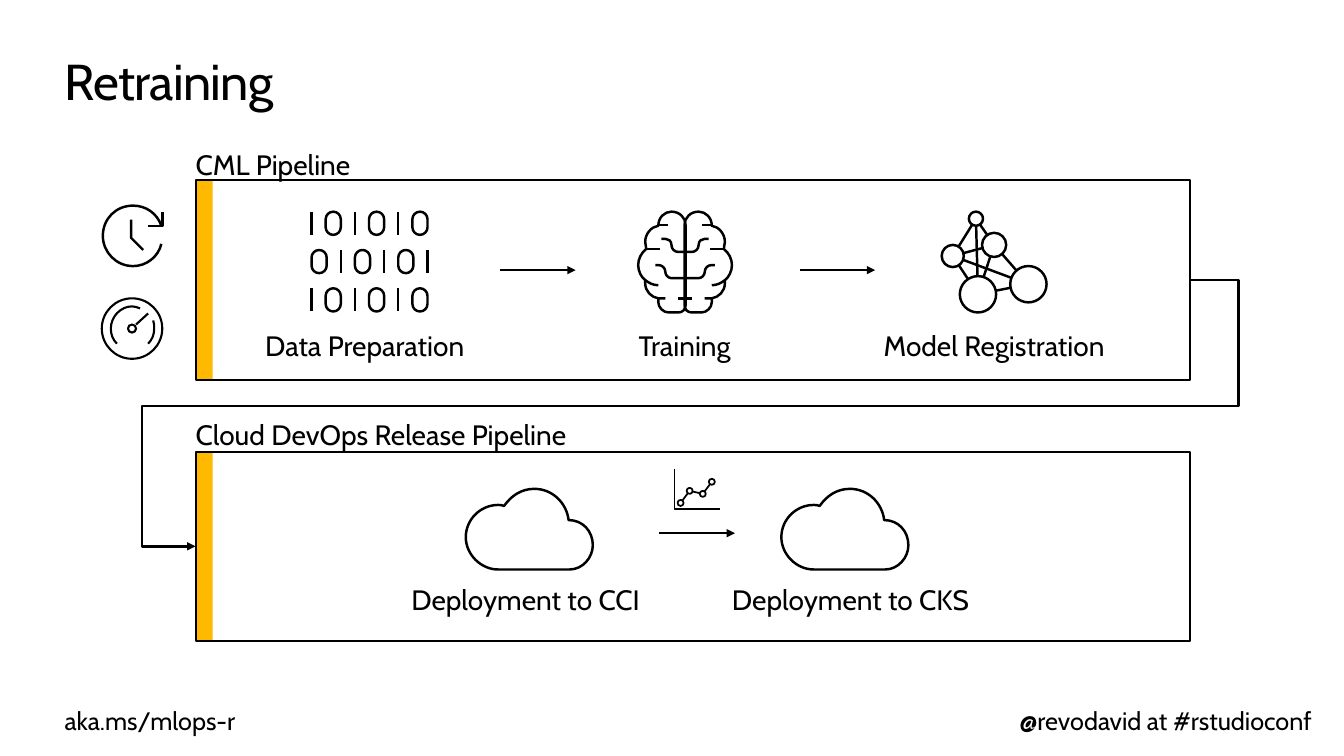
"""Build the Retraining slide: two pipelines joined by a bent arrow."""
from dataclasses import dataclass
from itertools import combinations, pairwise
from math import hypot

from lxml.etree import SubElement
from pptx import Presentation
from pptx.dml.color import RGBColor
from pptx.enum.shapes import MSO_CONNECTOR, MSO_SHAPE
from pptx.enum.text import MSO_ANCHOR, MSO_AUTO_SIZE, PP_ALIGN
from pptx.oxml.ns import qn
from pptx.util import Inches, Pt


@dataclass(frozen=True)
class Theme:
    """Hold the colours, font and sizes."""
    ink: RGBColor = RGBColor(0, 0, 0)
    gold: RGBColor = RGBColor(0xFF, 0xB9, 0)
    font: str = "Cabin"
    title: int = 36
    label: int = 20
    foot: int = 18
    thin: float = 1.25
    line: float = 1.5
    bold: float = 1.75


THEME = Theme()
LEFT, CENTER, RIGHT = PP_ALIGN.LEFT, PP_ALIGN.CENTER, PP_ALIGN.RIGHT

TITLE = ("Retraining", 0.64, 0.5, 12.05, 0.61)
FOOTS = [
    ("aka.ms/mlops-r", 0.64, 7, 4.55, LEFT),
    ("@revodavid at #rstudioconf", 8.46, 7, 4.55, RIGHT),
]
LABELS = [
    ("CML Pipeline", 1.94, 1.46, 1.62, LEFT),
    ("Data Preparation", 2.63, 3.26, 2.08, LEFT),
    ("Training", 6.3, 3.26, 0.98, CENTER),
    ("Model Registration", 8.68, 3.26, 2.36, CENTER),
    ("Cloud DevOps Release Pipeline", 1.94, 4.14, 3.83, LEFT),
    ("Deployment to CCI", 4.08, 5.78, 2.36, LEFT),
    ("Deployment to CKS", 7.26, 5.78, 2.42, LEFT),
]
PANELS = [(1.79, 1.98), (4.48, 1.88)]
PANEL_X, PANEL_W, BAR_W = 1.94, 9.86, 0.17
ARROWS = [(4.96, 2.68), (7.93, 2.68), (6.54, 5.29)]
ARROW_W = 0.75
BENDS = (-4900, 47300, 105400)

BITS = ["101010", "010101", "101010"]
BIT_X, BIT_Y, BIT_W, BIT_H, BIT_GAP, ROW_GAP = 3.09, 2.1, 0.15, 0.23, 0.14, 0.38
BRAIN = """
M 6.53 2.96 C 6.46 2.95 6.4 2.89 6.4 2.81 L 6.4 2.78
C 6.36 2.75 6.33 2.69 6.33 2.63 C 6.33 2.57 6.36 2.51 6.41 2.47
C 6.41 2.45 6.4 2.42 6.4 2.4 C 6.4 2.32 6.46 2.25 6.53 2.24
C 6.53 2.16 6.59 2.1 6.66 2.1 C 6.74 2.1 6.8 2.16 6.8 2.23
L 6.8 3.03 C 6.8 3.07 6.77 3.1 6.73 3.1 L 6.63 3.1
C 6.58 3.1 6.53 3.05 6.53 3 L 6.53 2.96 L 6.6 2.96
M 6.73 2.96 L 6.8 2.96
M 6.5 2.63 L 6.53 2.63 C 6.57 2.63 6.6 2.66 6.6 2.7
C 6.6 2.73 6.63 2.76 6.66 2.76 L 6.8 2.76
M 6.56 2.37 L 6.6 2.37 C 6.63 2.37 6.66 2.39 6.66 2.43
C 6.66 2.47 6.69 2.5 6.73 2.5 L 6.8 2.5
M 6.4 2.78 C 6.44 2.81 6.48 2.83 6.53 2.83
M 6.41 2.47 L 6.55 2.47 M 6.53 2.23 L 6.63 2.23"""
BRAIN_SPAN = 13.59
CLOUD = """
M 5.65 5.65 L 4.94 5.65 C 4.77 5.65 4.62 5.5 4.62 5.33
C 4.62 5.15 4.77 5.01 4.94 5.01 C 4.96 5.01 4.98 5.01 5 5.02
C 5.07 4.92 5.17 4.85 5.3 4.85 C 5.48 4.85 5.62 4.99 5.64 5.16
C 5.78 5.16 5.88 5.27 5.88 5.41 C 5.88 5.53 5.78 5.65 5.65 5.65"""
CLOUD_GAP = 3.13
CLOCK = """
M 1.42 2.48 L 1.3 2.36 L 1.3 2.18
M 1.47 2.24 L 1.61 2.24 L 1.61 2.1
M 1.6 2.24 C 1.56 2.12 1.45 2.04 1.32 2.04
C 1.15 2.04 1.02 2.17 1.02 2.34 C 1.02 2.5 1.15 2.64 1.32 2.64
C 1.45 2.64 1.57 2.55 1.6 2.42"""
GAUGE = """
M 1.47 3.41 C 1.51 3.37 1.53 3.32 1.53 3.26
C 1.53 3.23 1.53 3.21 1.52 3.18
M 1.39 3.06 C 1.36 3.05 1.34 3.04 1.31 3.04
C 1.2 3.04 1.1 3.14 1.1 3.26 C 1.1 3.32 1.12 3.37 1.16 3.41
M 1.47 3.11 L 1.35 3.22"""
DIALS = [(1.31, 3.26, 0.3), (1.31, 3.26, 0.04)]
NODES = [(9.68, 2.17, 0.07), (9.45, 2.54, 0.11), (9.7, 2.92, 0.18),
         (9.86, 2.43, 0.12), (10.2, 2.82, 0.18)]
APART = (NODES[0], NODES[4])
AXES = "M 7.14 5.05 L 6.69 5.05 L 6.69 4.65"
DOTS = [(6.75, 4.99, 0.03), (6.84, 4.87, 0.03),
        (6.97, 4.9, 0.03), (7.06, 4.78, 0.03)]


def trace(route):
    """Turn M, L and C commands into strokes of one- or three-point steps."""
    strokes, parts = [], iter(route.split())
    for key in parts:
        count = 3 if key == "C" else 1
        step = [(float(next(parts)), float(next(parts))) for _ in range(count)]
        if key == "M":
            strokes.append([])
        strokes[-1].append(step)
    return strokes


def ring(x, y, r, rise=0):
    """Return a circle, or a pill with straight sides of length rise."""
    turns = [(1, 0), (0, 1), (-1, 0), (0, -1), (1, 0)]
    stroke = []
    for i, (u, v) in enumerate(pairwise(turns)):
        mid = y + (rise / 2 if i < 2 else -rise / 2)
        mixes = [(1, 0), (1, 0.55), (0.55, 1), (0, 1)]
        start, *curve = [(x + r * (a * u[0] + b * v[0]), mid + r * (a * u[1] + b * v[1]))
                         for a, b in mixes]
        if i == 0 or (i == 2 and rise):
            stroke.append([start])
        stroke.append(curve)
    return stroke + stroke[:1]


def link(a, b):
    """Return the line between the rims of two circles."""
    far = hypot(b[0] - a[0], b[1] - a[1])
    return [[tuple(p[i] + (q[i] - p[i]) * p[2] / far for i in (0, 1))]
            for p, q in ((a, b), (b, a))]


def digits():
    """Return the strokes of the rows of bits."""
    strokes, r = [], BIT_W / 2
    for row, bits in enumerate(BITS):
        x, y = BIT_X, BIT_Y + ROW_GAP * row
        for bit in bits:
            if bit == "1":
                strokes.append([[(x, y)], [(x, y + BIT_H)]])
            else:
                strokes.append(ring(x + r, y + BIT_H / 2, r, BIT_H - BIT_W))
                x += BIT_W
            x += BIT_GAP
    return strokes


def shift(strokes, move):
    """Apply a change of x to every point."""
    return [[[(move(x), y) for x, y in step] for step in stroke] for stroke in strokes]


def ink(line, width):
    """Give a line its colour and width."""
    line.color.rgb, line.width = THEME.ink, Pt(width)


def draw(shapes, strokes, width):
    """Draw strokes as one open outline, with three-point steps as curves."""
    pen = None
    for stroke in strokes:
        start, *rest = [(Inches(x), Inches(y)) for step in stroke for x, y in step]
        if pen:
            pen.move_to(*start)
        else:
            pen = shapes.build_freeform(*start)
        pen.add_line_segments(rest, close=False)
    icon = pen.convert_to_shape()
    icon.fill.background()
    ink(icon.line, width)
    icon.shadow.inherit = False
    trail = icon._element.spPr.find(".//" + qn("a:path"))
    nodes = iter(list(trail))
    for step in (step for stroke in strokes for step in stroke):
        node = next(nodes)
        if len(step) == 3:
            node.tag = qn("a:cubicBezTo")
            for _ in range(2):
                extra = next(nodes)
                node.append(extra[0])
                trail.remove(extra)


def write(shape, text, size, align, wrap=True):
    """Set the text of a shape and its format."""
    frame = shape.text_frame
    frame.text, frame.word_wrap = text, wrap
    frame.auto_size, frame.vertical_anchor = MSO_AUTO_SIZE.NONE, MSO_ANCHOR.TOP
    frame.margin_left = frame.margin_right = frame.margin_top = frame.margin_bottom = 0
    para = frame.paragraphs[0]
    para.alignment = align
    font = para.runs[0].font
    font.name, font.size, font.color.rgb = THEME.font, Pt(size), THEME.ink


def block(shapes, x, y, w, h, fill=None):
    """Add a filled bar or an outlined panel."""
    box = shapes.add_shape(MSO_SHAPE.RECTANGLE, *map(Inches, (x, y, w, h)))
    box.shadow.inherit = False
    if fill is None:
        box.fill.background()
        ink(box.line, THEME.line)
    else:
        box.fill.solid()
        box.fill.fore_color.rgb = fill
        box.line.fill.background()
    return box


def arrow(shapes, kind, ends, width):
    """Add a connector with a triangle head."""
    wire = shapes.add_connector(kind, *map(Inches, ends))
    ink(wire.line, width)
    SubElement(wire.line._get_or_add_ln(), qn("a:tailEnd"), type="triangle")
    SubElement(wire._element.spPr, qn("a:effectLst"))
    return wire


def main():
    """Build and save the slide."""
    deck = Presentation()
    deck.slide_width, deck.slide_height = Inches(13.33), Inches(7.5)
    slide = deck.slides.add_slide(deck.slide_layouts[5])
    shapes = slide.shapes
    text, *area = TITLE
    head = shapes.title
    head.left, head.top, head.width, head.height = map(Inches, area)
    write(head, text, THEME.title, LEFT)
    head.text_frame.paragraphs[0].runs[0].font._element.set("spc", "-50")

    for y, h in PANELS:
        block(shapes, PANEL_X, y, BAR_W, h, THEME.gold)
    first, last = [block(shapes, PANEL_X, y, PANEL_W, h) for y, h in PANELS]
    for rows, size, h, wrap in ((FOOTS, THEME.foot, 0.3, True),
                                (LABELS, THEME.label, 0.34, False)):
        for text, x, y, w, align in rows:
            box = shapes.add_textbox(*map(Inches, (x, y, w, h)))
            write(box, text, size, align, wrap)

    brain, cloud = trace(BRAIN), trace(CLOUD)
    pairs = [pair for pair in combinations(NODES, 2) if pair != APART]
    net = [ring(*node) for node in NODES] + [link(*pair) for pair in pairs]
    plot = [ring(*dot) for dot in DOTS] + [link(*pair) for pair in pairwise(DOTS)]
    for strokes, width in (
        (digits(), THEME.bold),
        (brain + shift(brain, lambda x: BRAIN_SPAN - x), THEME.bold),
        (net, THEME.bold),
        (cloud, THEME.bold),
        (shift(cloud, lambda x: x + CLOUD_GAP), THEME.bold),
        (trace(AXES) + plot, THEME.thin),
        (trace(CLOCK), THEME.bold),
        (trace(GAUGE) + [ring(*dial) for dial in DIALS], THEME.line),
    ):
        draw(shapes, strokes, width)

    for x, y in ARROWS:
        arrow(shapes, MSO_CONNECTOR.STRAIGHT, (x, y, x + ARROW_W, y), THEME.line)
    mids = [y + h / 2 for y, h in PANELS]
    wire = arrow(shapes, MSO_CONNECTOR.ELBOW,
                 (PANEL_X + PANEL_W, mids[0], PANEL_X, mids[1]), THEME.bold)
    wire.begin_connect(first, 3)
    wire.end_connect(last, 1)
    geom = wire._element.spPr.find(qn("a:prstGeom"))
    geom.set("prst", "bentConnector5")
    for i, bend in enumerate(BENDS, 1):
        SubElement(geom.find(qn("a:avLst")), qn("a:gd"), name=f"adj{i}", fmla=f"val {bend}")
    deck.save("out.pptx")


if __name__ == "__main__":
    main()
